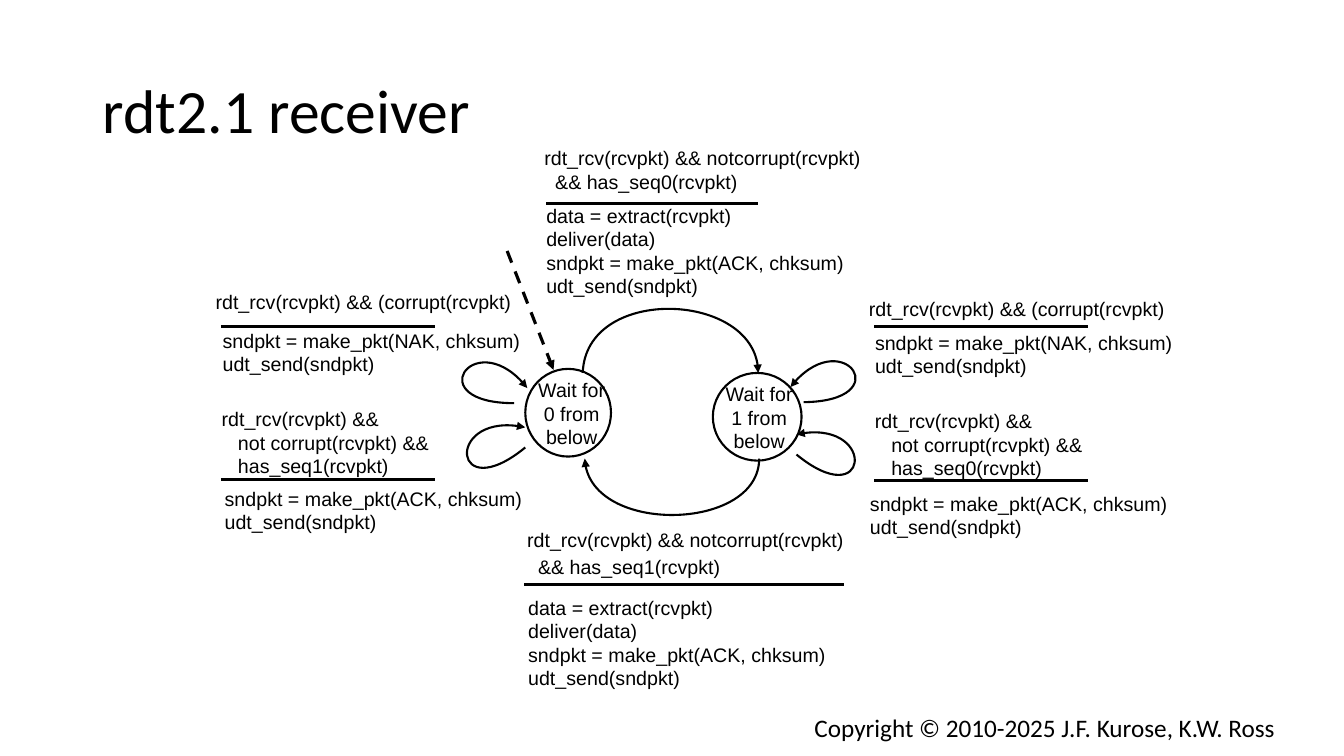
from lxml.etree import SubElement
from pptx import Presentation
from pptx.dml.color import RGBColor
from pptx.enum.dml import MSO_LINE
from pptx.enum.shapes import MSO_CONNECTOR, MSO_SHAPE
from pptx.enum.text import MSO_ANCHOR, PP_ALIGN
from pptx.oxml.ns import qn
from pptx.util import Inches, Pt

COLORS = {"ink": "000000", "state": "FFFFFF"}
LABEL = {"name": "Arial", "size": Pt(14)}
TITLE = {"name": "Calibri", "size": Pt(44)}
FOOTER = {"name": "Calibri", "size": Pt(18)}
LINE_HEIGHT = 0.225

CORRUPT = ["rdt_rcv(rcvpkt) && (corrupt(rcvpkt)"]
NAK = ["sndpkt = make_pkt(NAK, chksum)", "udt_send(sndpkt)"]
ACK = ["sndpkt = make_pkt(ACK, chksum)", "udt_send(sndpkt)"]
DELIVER = ["data = extract(rcvpkt)", "deliver(data)"] + ACK


def accepted(number):
    """Return the event lines for an intact packet with the expected number."""
    return ["rdt_rcv(rcvpkt) && notcorrupt(rcvpkt)", f"  && has_seq{number}(rcvpkt)"]


def duplicate(number):
    """Return the event lines for an intact packet with the other number."""
    return ["rdt_rcv(rcvpkt) &&", "   not corrupt(rcvpkt) &&", f"   has_seq{number}(rcvpkt)"]


TRANSITIONS = [
    {"rule": (5.42, 2.02, 2.1), "event": (-0.12, -0.62, 4.35), "action": (-0.1, -0.05, 3.8),
     "lines": (accepted(0), DELIVER)},
    {"rule": (5.2, 5.8, 3.17), "event": (-0.07, -0.61, 3.92), "action": (-0.06, 0.06, 4.21),
     "lines": (accepted(1), DELIVER), "gap": 2},
    {"rule": (8.67, 3.24, 2.12), "event": (-0.15, -0.34, 3.14), "action": (-0.09, -0.01, 3.31),
     "lines": (CORRUPT, NAK)},
    {"rule": (8.67, 4.77, 2.12), "event": (-0.09, -0.76, 2.87), "action": (-0.14, 0.06, 3.22),
     "lines": (duplicate(0), ACK)},
    {"rule": (2.19, 3.24, 2.12), "event": (-0.15, -0.41, 3.14), "action": (-0.08, -0.03, 3.31),
     "lines": (CORRUPT, NAK)},
    {"rule": (2.19, 4.76, 2.12), "event": (-0.09, -0.77, 2.87), "action": (-0.06, 0.02, 3.22),
     "lines": (duplicate(1), ACK)},
]
STATES = [
    {"box": (5.21, 3.66, 0.85, 0.87), "label": ["Wait for", "0 from below"],
     "loops": [[(-0.11, 0.34), (-1.04, 0.34), (-0.49, -0.46), (0.02, 0.19)],
               [(0, 0.78), (-0.72, 1.37), (-0.8, 0.41), (0, 0.58)]]},
    {"box": (7.07, 3.7, 0.88, 0.87), "label": ["Wait for", "1 from below"],
     "loops": [[(0.9, 0.29), (1.83, 0.28), (1.28, -0.51), (0.77, 0.14)],
               [(0.83, 0.81), (1.55, 1.4), (1.63, 0.44), (0.83, 0.61)]]},
]
ARCS = [
    [(5.78, 3.7), (5.81, 2.84), (7.52, 2.89), (7.52, 3.7)],
    [(7.53, 4.55), (7.53, 5.26), (5.83, 5.31), (5.8, 4.55)],
]


def format_font(font, values):
    """Apply font values and the ink colour."""
    for name, value in values.items():
        setattr(font, name, value)
    font.color.rgb = RGBColor.from_string(COLORS["ink"])


def format_line(shape, width, arrow=False):
    """Draw an ink outline, with an arrowhead at its end if asked."""
    shape.line.color.rgb = RGBColor.from_string(COLORS["ink"])
    shape.line.width = Pt(width)
    if arrow:
        outline = shape._element.spPr.find(qn("a:ln"))
        SubElement(outline, qn("a:tailEnd"), type="triangle")


def add_text(slide, box, lines, values=LABEL, alignment=PP_ALIGN.LEFT, gap=0):
    """Add a wrapped text box with one paragraph for each line."""
    frame = slide.shapes.add_textbox(*map(Inches, box)).text_frame
    frame.word_wrap = True
    for index, line in enumerate(lines):
        paragraph = frame.add_paragraph() if index else frame.paragraphs[0]
        paragraph.text = line
        paragraph.alignment = alignment
        if index and gap:
            paragraph.space_before = Pt(gap)
        format_font(paragraph.font, values)


def add_straight(slide, start, end, arrow=False):
    """Add a straight line, dashed when it is an arrow."""
    connector = slide.shapes.add_connector(MSO_CONNECTOR.STRAIGHT, *map(Inches, start + end))
    format_line(connector, 2.25)
    if arrow:
        connector.line.dash_style = MSO_LINE.DASH
        format_line(connector, 2.25, arrow)
    SubElement(connector._element.spPr, qn("a:effectLst"))


def add_curve(slide, points, left=0, top=0):
    """Add a curved arrow through four Bezier points relative to a corner."""
    start, *controls = [(Inches(left + x), Inches(top + y)) for x, y in points]
    builder = slide.shapes.build_freeform(*start)
    builder.add_line_segments(controls, close=False)
    shape = builder.convert_to_shape()
    outline = shape._element.find(".//" + qn("a:path"))
    segments = outline.findall(qn("a:lnTo"))
    curve = SubElement(outline, qn("a:cubicBezTo"))
    for segment in segments:
        curve.append(segment[0])
        outline.remove(segment)
    shape.shadow.inherit = False
    shape.fill.background()
    format_line(shape, 1.5, arrow=True)


def add_state(slide, box, label, loops):
    """Add a state circle with its label and the loops beside it."""
    left, top, width, height = box
    circle = slide.shapes.add_shape(MSO_SHAPE.OVAL, *map(Inches, box))
    circle.shadow.inherit = False
    circle.fill.solid()
    circle.fill.fore_color.rgb = RGBColor.from_string(COLORS["state"])
    format_line(circle, 1.5)
    add_text(slide, (left + 0.02, top + 0.04, 0.88, 0.67), label, alignment=PP_ALIGN.CENTER)
    for loop in loops:
        add_curve(slide, loop, left, top)


def add_transition(slide, rule, event, action, lines, gap=0):
    """Add a rule with the event above it and the actions below it."""
    left, top, width = rule
    add_straight(slide, (left, top), (left + width, top))
    for (x, y, text_width), text, spacing in zip((event, action), lines, (gap, 0)):
        box = (left + x, top + y, text_width, len(text) * LINE_HEIGHT)
        add_text(slide, box, text, gap=spacing)


def add_title(slide, box, text):
    """Place and format the title."""
    title = slide.shapes.title
    title.left, title.top, title.width, title.height = map(Inches, box)
    title.text_frame.text = text
    title.text_frame.vertical_anchor = MSO_ANCHOR.MIDDLE
    paragraph = title.text_frame.paragraphs[0]
    paragraph.alignment = PP_ALIGN.LEFT
    paragraph.line_spacing = 0.9
    format_font(paragraph.font, TITLE)


def main():
    """Build the receiver slide and save it."""
    presentation = Presentation()
    presentation.slide_width, presentation.slide_height = Inches(13.33), Inches(7.5)
    slide = presentation.slides.add_slide(presentation.slide_layouts[5])
    add_title(slide, (0.92, 0.4, 11.5, 1.45), "rdt2.1 receiver")
    for state in STATES:
        add_state(slide, **state)
    add_straight(slide, (5.03, 2.49), (5.49, 3.67), arrow=True)
    for arc in ARCS:
        add_curve(slide, arc)
    for transition in TRANSITIONS:
        add_transition(slide, **transition)
    add_text(slide, (7.98, 7.02, 4.9, 0.4), ["Copyright © 2010-2025 J.F. Kurose, K.W. Ross"], FOOTER)
    presentation.save("out.pptx")


if __name__ == "__main__":
    main()
